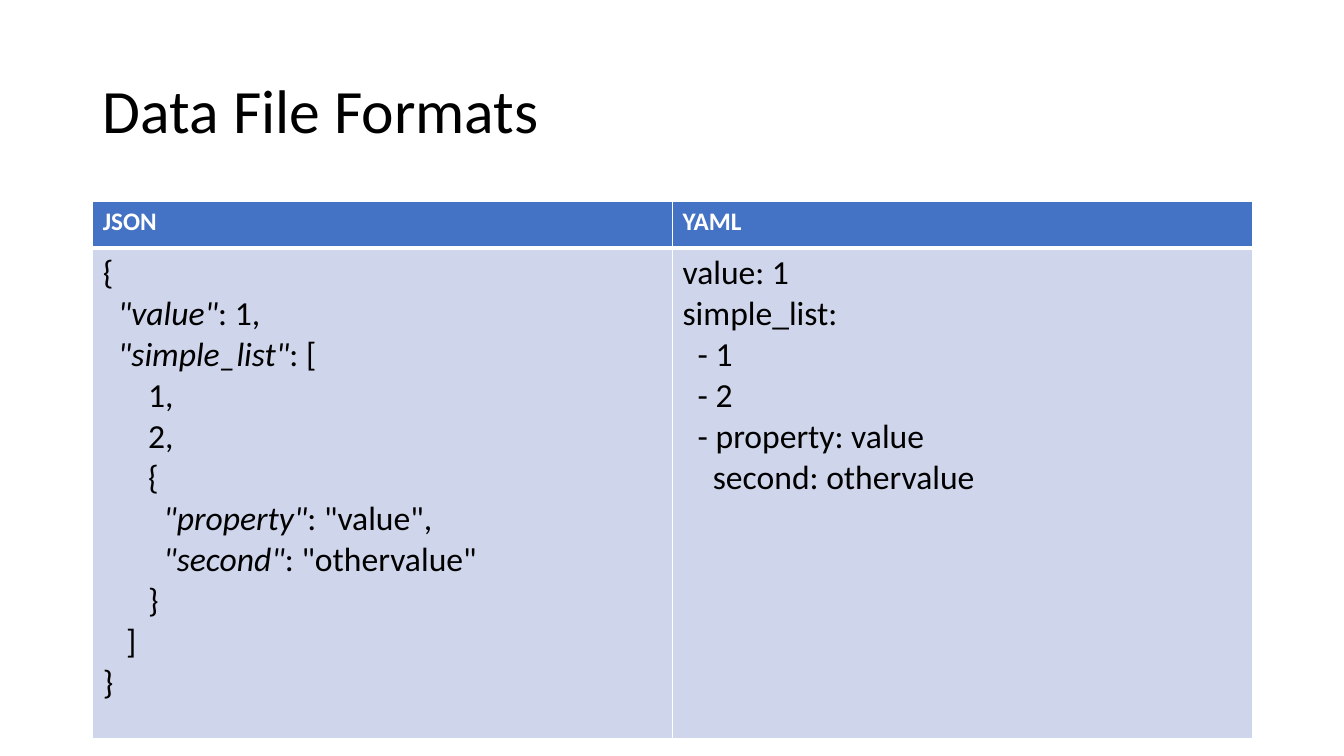
from dataclasses import dataclass

from lxml import etree
from pptx import Presentation
from pptx.dml.color import RGBColor
from pptx.enum.text import MSO_ANCHOR, PP_ALIGN
from pptx.oxml.ns import qn
from pptx.util import Pt

MIDDLE = MSO_ANCHOR.MIDDLE
LEFT = PP_ALIGN.LEFT
EMU_PER_PX = 9144
EMU_PER_PT = 12700


@dataclass(frozen=True)
class Theme:
    font: str = "Calibri"
    ink: str = "000000"
    paper: str = "FFFFFF"
    header_fill: str = "4472C4"
    body_fill: str = "CFD5EA"
    title_size: int = 44
    header_size: int = 18
    code_size: int = 24
    thin_rule: int = 1
    thick_rule: int = 3


THEME = Theme()

# Each code line: indent in px, italic key, plain text
JSON_LINES = [
    (0, "", "{"),
    (15, '"value"', ": 1,"),
    (15, '"simple_list"', ": ["),
    (45, "", "1,"),
    (45, "", "2,"),
    (45, "", "{"),
    (60, '"property"', ': "value",'),
    (60, '"second"', ': "othervalue"'),
    (45, "", "}"),
    (23, "", "]"),
    (0, "", "}"),
]
YAML_LINES = [
    (0, "", "value: 1"),
    (0, "", "simple_list:"),
    (15, "", "- 1"),
    (15, "", "- 2"),
    (15, "", "- property: value"),
    (30, "", "second: othervalue"),
]
FORMATS = [("JSON", JSON_LINES), ("YAML", YAML_LINES)]


def px(length):
    return length * EMU_PER_PX


def style_run(run, size, color, bold=False, italic=False):
    font = run.font
    font.name = THEME.font
    font.size = Pt(size)
    font.bold = bold
    font.italic = italic
    font.color.rgb = RGBColor.from_string(color)


def add_title(slide, text):
    title = slide.shapes.title
    title.left, title.top, title.width, title.height = px(92), px(40), px(1150), px(145)
    frame = title.text_frame
    frame.text = text
    frame.word_wrap = True
    frame.vertical_anchor = MIDDLE
    paragraph = frame.paragraphs[0]
    paragraph.alignment = LEFT
    paragraph.line_spacing = 0.9
    style_run(paragraph.runs[0], THEME.title_size, THEME.ink)


def style_cell(cell, fill, top, bottom):
    """Set the fill and the white rules; top and bottom are widths in points."""
    properties = cell._tc.get_or_add_tcPr()
    thin = THEME.thin_rule
    for side, width in (("L", thin), ("R", thin), ("T", top), ("B", bottom)):
        rule = etree.SubElement(properties, qn(f"a:ln{side}"), w=str(width * EMU_PER_PT))
        solid = etree.SubElement(rule, qn("a:solidFill"))
        etree.SubElement(solid, qn("a:srgbClr"), val=THEME.paper)
    cell.fill.solid()
    cell.fill.fore_color.rgb = RGBColor.from_string(fill)


def fill_header(cell, name):
    style_cell(cell, THEME.header_fill, THEME.thin_rule, THEME.thick_rule)
    cell.text_frame.text = name
    run = cell.text_frame.paragraphs[0].runs[0]
    style_run(run, THEME.header_size, THEME.paper, bold=True)


def fill_code(cell, lines):
    style_cell(cell, THEME.body_fill, THEME.thick_rule, THEME.thin_rule)
    frame = cell.text_frame
    frame.text = "\n".join("" for _ in lines)
    for paragraph, (indent, key, plain) in zip(frame.paragraphs, lines):
        margins = paragraph._p.get_or_add_pPr()
        margins.set("marL", str(px(indent)))
        margins.set("indent", "0")
        for text, italic in ((key, True), (plain, False)):
            if text:
                run = paragraph.add_run()
                run.text = text
                style_run(run, THEME.code_size, THEME.ink, italic=italic)


def add_format_table(slide, formats):
    frame = slide.shapes.add_table(2, len(formats), px(92), px(200), px(1150), px(533))
    table = frame.table
    table.rows[0].height = px(46)
    table.rows[1].height = px(487)
    for column, (name, lines) in enumerate(formats):
        table.columns[column].width = px(575)
        fill_header(table.cell(0, column), name)
        fill_code(table.cell(1, column), lines)


def main():
    deck = Presentation()
    deck.slide_width, deck.slide_height = px(1333), px(750)
    title_only = deck.slide_layouts[5]
    slide = deck.slides.add_slide(title_only)
    add_title(slide, "Data File Formats")
    add_format_table(slide, FORMATS)
    deck.save("out.pptx")


if __name__ == "__main__":
    main()
